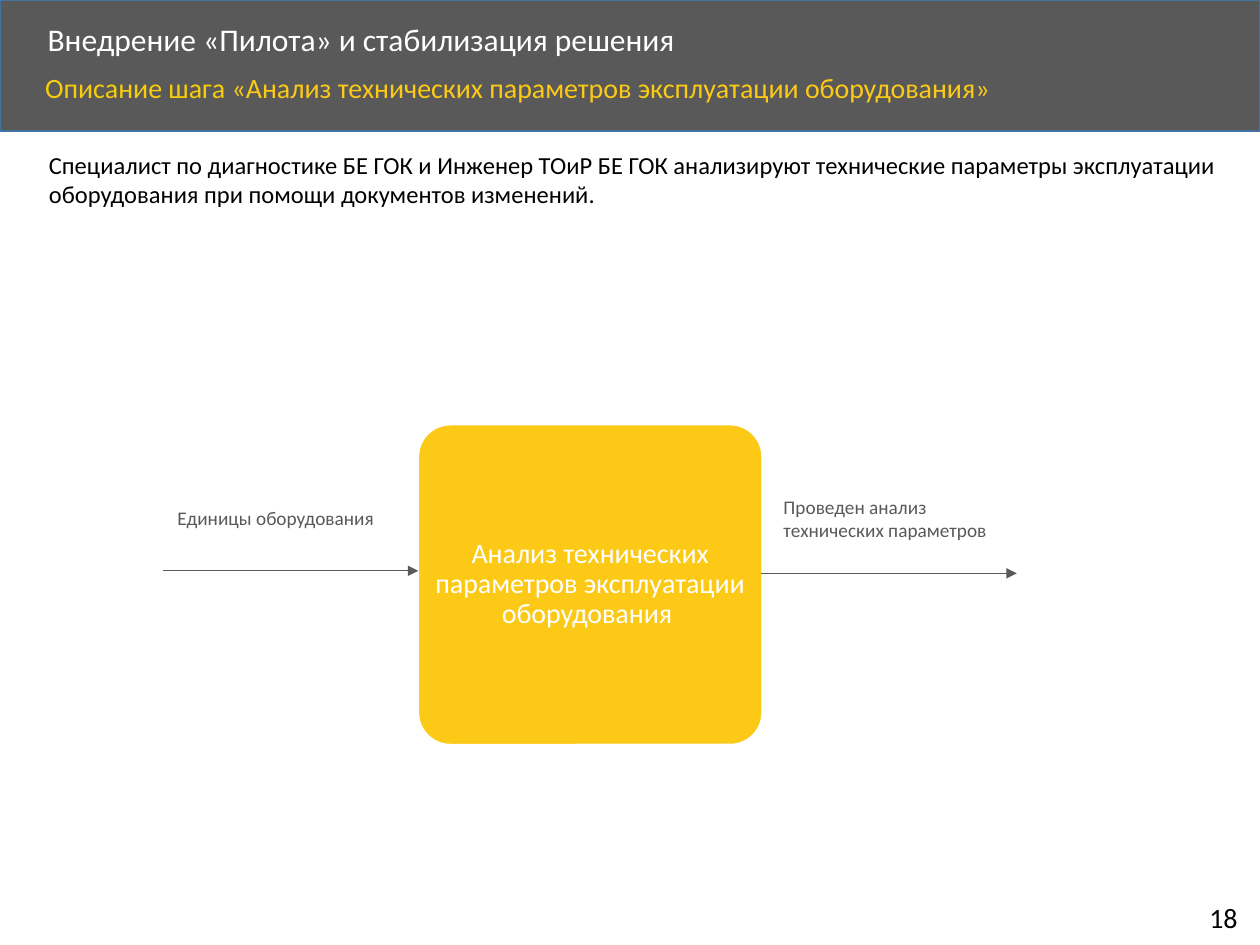
import dataclasses

import pptx
import pptx.dml.color
import pptx.enum.shapes
import pptx.enum.text
import pptx.oxml
import pptx.oxml.ns
import pptx.util
from pptx.util import Inches

COLORS = {
    "header": "595959",
    "header_line": "43739E",
    "subtitle": "F6CC0C",
    "accent": "FCC917",
    "flow": "595959",
    "white": "FFFFFF",
    "black": "000000",
}
FONT = "Calibri"
ANCHOR = pptx.enum.text.MSO_ANCHOR
ALIGN = pptx.enum.text.PP_ALIGN
SHAPE = pptx.enum.shapes.MSO_SHAPE


@dataclasses.dataclass(frozen=True)
class Box:
    left: float
    top: float
    width: float
    height: float

    def lengths(self):
        return [Inches(side) for side in dataclasses.astuple(self)]


@dataclasses.dataclass(frozen=True)
class Flow:
    """An arrow entering or leaving the step, with its label."""
    start: float
    y: float
    label: str
    label_box: Box


ARROW_LENGTH = 2.03
FLOWS = [
    Flow(1.29, 4.53, "Единицы оборудования", Box(1.31, 3.97, 2, 0.29)),
    Flow(6.04, 4.55, "Проведен анализ технических параметров",
         Box(6.12, 3.88, 2, 0.47)),
]


def rgb(color: str):
    return pptx.dml.color.RGBColor.from_string(COLORS[color])


def write_text(frame, *runs: tuple[str, str], size: float, align=ALIGN.LEFT,
               anchor=ANCHOR.TOP, spacing: float = 1.0, wrap: bool = True,
               inset: float | None = None) -> None:
    """Fill a text frame with one paragraph of (text, colour name) runs."""
    frame.word_wrap = wrap
    frame.vertical_anchor = anchor
    if inset is not None:
        frame.margin_left = frame.margin_right = Inches(inset)
        frame.margin_top = frame.margin_bottom = Inches(inset)
    paragraph = frame.paragraphs[0]
    paragraph.alignment = align
    paragraph.line_spacing = spacing
    for text, color in runs:
        run = paragraph.add_run()
        run.text = text
        run.font.name = FONT
        run.font.size = pptx.util.Pt(size)
        run.font.color.rgb = rgb(color)


def add_text(slide, box: Box, *runs: tuple[str, str], **text_format) -> None:
    frame = slide.shapes.add_textbox(*box.lengths()).text_frame
    write_text(frame, *runs, **text_format)


def add_panel(slide, preset, box: Box, fill: str, line: str):
    panel = slide.shapes.add_shape(preset, *box.lengths())
    panel.shadow.inherit = False
    panel.fill.solid()
    panel.fill.fore_color.rgb = rgb(fill)
    panel.line.color.rgb = rgb(line)
    panel.line.width = pptx.util.Pt(1)
    return panel


def add_flow(slide, flow: Flow) -> None:
    arrow = slide.shapes.add_connector(
        pptx.enum.shapes.MSO_CONNECTOR.STRAIGHT,
        Inches(flow.start), Inches(flow.y),
        Inches(flow.start + ARROW_LENGTH), Inches(flow.y))
    arrow.line.color.rgb = rgb("flow")
    arrow.line.width = pptx.util.Pt(0.5)
    namespace = pptx.oxml.ns.nsdecls("a")
    arrow.line._get_or_add_ln().append(
        pptx.oxml.parse_xml(f'<a:tailEnd {namespace} type="triangle"/>'))
    arrow._element.spPr.append(
        pptx.oxml.parse_xml(f"<a:effectLst {namespace}/>"))
    add_text(slide, flow.label_box, (flow.label, "flow"), size=11)


def main() -> None:
    presentation = pptx.Presentation()
    presentation.slide_width = Inches(10)
    presentation.slide_height = Inches(7.5)
    slide = presentation.slides.add_slide(presentation.slide_layouts[6])

    add_panel(slide, SHAPE.RECTANGLE, Box(0, 0, 10, 1.04),
              "header", "header_line")
    add_text(slide, Box(0.28, 0.14, 8.07, 0.38),
             ("Внедрение «Пилота» и стабилизация решения", "white"),
             size=18, spacing=0.9, anchor=ANCHOR.MIDDLE)
    add_text(slide, Box(0.26, 0.54, 8.67, 0.45),
             ("Описание шага ", "subtitle"),
             ("«Анализ технических параметров эксплуатации оборудования»",
              "accent"),
             size=16, spacing=0.9)
    add_text(slide, Box(0.29, 1.14, 9.46, 0.57),
             ("Специалист по диагностике БЕ ГОК и Инженер ТОиР БЕ ГОК "
              "анализируют технические параметры эксплуатации оборудования "
              "при помощи документов изменений.", "black"),
             size=14)

    step = add_panel(slide, SHAPE.ROUNDED_RECTANGLE,
                     Box(3.32, 3.37, 2.73, 2.54), "accent", "white")
    step.adjustments[0] = 0.1
    write_text(step.text_frame,
               ("Анализ технических параметров эксплуатации оборудования ",
                "white"),
               size=16, spacing=0.9, align=ALIGN.CENTER,
               anchor=ANCHOR.MIDDLE, inset=0.01)
    for flow in FLOWS:
        add_flow(slide, flow)

    add_text(slide, Box(9.5, 7.1, 0.46, 0.37), ("18", "black"),
             size=16, wrap=False)
    presentation.save("out.pptx")


if __name__ == "__main__":
    main()
